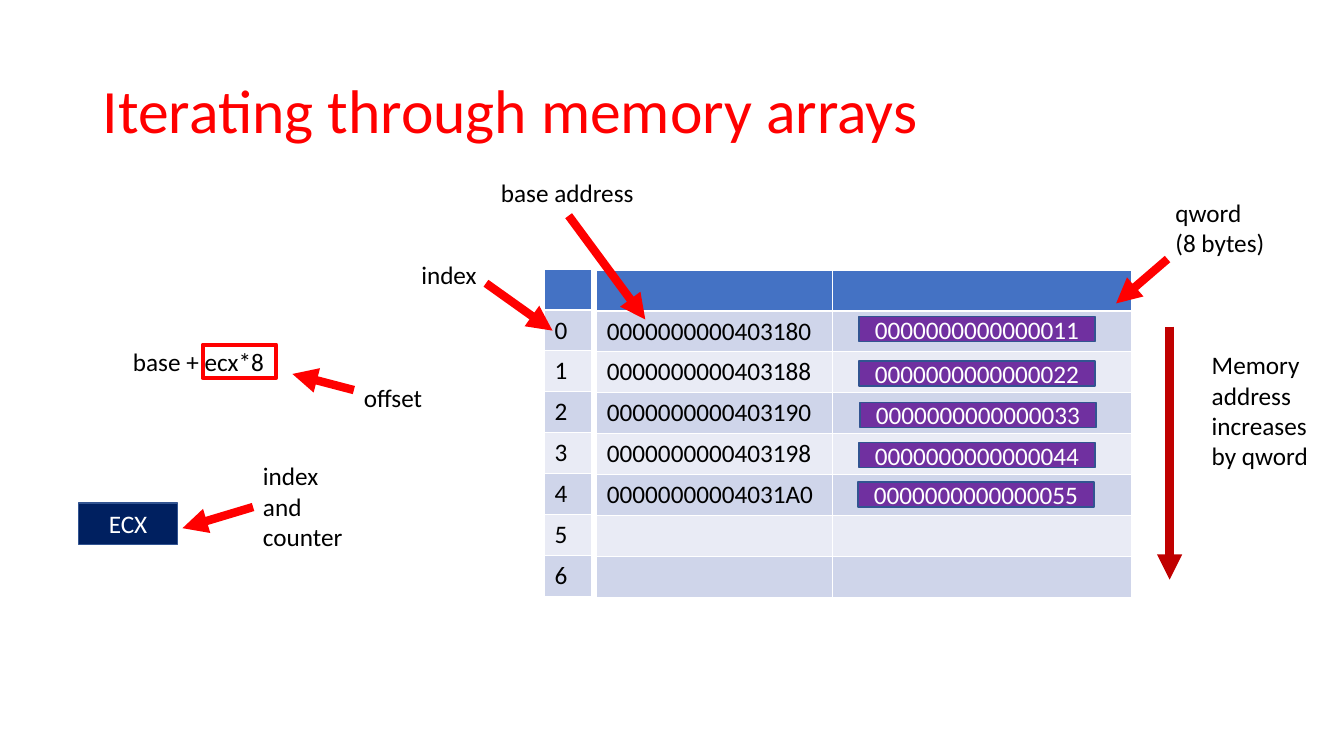
from lxml import etree
from pptx import Presentation
from pptx.dml.color import RGBColor
from pptx.enum.shapes import MSO_CONNECTOR, MSO_SHAPE
from pptx.enum.text import MSO_ANCHOR, MSO_AUTO_SIZE, PP_ALIGN
from pptx.oxml.ns import qn
from pptx.util import Emu, Pt

RECTANGLE = MSO_SHAPE.RECTANGLE
STRAIGHT = MSO_CONNECTOR.STRAIGHT
MIDDLE = MSO_ANCHOR.MIDDLE
LEFT, CENTER = PP_ALIGN.LEFT, PP_ALIGN.CENTER
GROW = MSO_AUTO_SIZE.SHAPE_TO_FIT_TEXT

EMU_PER_PX = 9144
TITLE_ONLY_LAYOUT = 5
RED, DARK_RED, BLACK, WHITE = "FF0000", "C00000", "000000", "FFFFFF"
PURPLE, NAVY, OUTLINE = "7030A0", "002060", "325491"
HEADER, BANDS = "4472C4", ("E9EBF5", "CFD5EA")

TABLE_ROWS = 8
BASE_ADDRESS = 0x403180
QWORD_BYTES = 8


def px(*lengths):
    return [Emu(length * EMU_PER_PX) for length in lengths]


def color(hex_string):
    return RGBColor.from_string(hex_string)


def set_values(target, values):
    for name, value in values.items():
        setattr(target, name, value)


class SlideBuilder:
    def __init__(self, slide, font="Calibri", size=18):
        self.slide = slide
        self.font = font
        self.size = size

    def fill_text(self, frame, lines, text_color=BLACK, size=None, **paragraph_format):
        """Put each line in its own paragraph, in the shared style."""
        frame.text = "\n".join(lines)
        for para in frame.paragraphs:
            set_values(para, paragraph_format)
            for span in para.runs:
                set_values(span.font, {"name": self.font, "size": Pt(size or self.size)})
                span.font.color.rgb = color(text_color)

    def title(self, area, text):
        title = self.slide.shapes.title
        set_values(title, dict(zip(("left", "top", "width", "height"), px(*area))))
        set_values(title.text_frame, {"vertical_anchor": MIDDLE, "word_wrap": True})
        self.fill_text(title.text_frame, [text], RED, 44, alignment=LEFT, line_spacing=0.9)

    def label(self, area, *lines, wrap=True):
        frame = self.slide.shapes.add_textbox(*px(*area)).text_frame
        set_values(frame, {"word_wrap": wrap, "auto_size": GROW})
        self.fill_text(frame, lines)

    def box(self, area, text="", fill=None, line=OUTLINE, weight=1):
        box = self.slide.shapes.add_shape(RECTANGLE, *px(*area))
        box.shadow.inherit = False
        if fill:
            box.fill.solid()
            box.fill.fore_color.rgb = color(fill)
        else:
            box.fill.background()
        box.line.color.rgb = color(line)
        box.line.width = Pt(weight)
        if text:
            box.text_frame.vertical_anchor = MIDDLE
            self.fill_text(box.text_frame, [text], WHITE, alignment=CENTER)

    def arrow(self, ends, line=RED):
        arrow = self.slide.shapes.add_connector(STRAIGHT, *px(*ends))
        arrow.line.color.rgb = color(line)
        arrow.line.width = Pt(6)
        properties = arrow.element.spPr
        etree.SubElement(properties.find(qn("a:ln")), qn("a:tailEnd"), type="triangle")
        etree.SubElement(properties, qn("a:effectLst"))

    def column(self, area, entries=()):
        """Add a one-column banded table; entries start below the header."""
        table = self.slide.shapes.add_table(TABLE_ROWS, 1, *px(*area)).table
        for row in range(TABLE_ROWS):
            cell = table.cell(row, 0)
            cell.fill.solid()
            cell.fill.fore_color.rgb = color(BANDS[row % 2] if row else HEADER)
        for row, entry in enumerate(entries, start=1):
            self.fill_text(table.cell(row, 0).text_frame, [entry])


def main():
    deck = Presentation()
    deck.slide_width, deck.slide_height = px(1333, 750)
    page = SlideBuilder(deck.slides.add_slide(deck.slide_layouts[TITLE_ONLY_LAYOUT]))
    page.title((92, 40, 1150, 145), "Iterating through memory arrays")

    addresses = [f"{BASE_ADDRESS + QWORD_BYTES * index:016X}" for index in range(5)]
    indexes = [str(index) for index in range(TABLE_ROWS - 1)]
    page.column((741, 268, 381, 324))
    page.column((592, 268, 234, 324), addresses)
    page.column((540, 267, 47, 324), indexes)

    value_corners = [(852, 314), (852, 358), (853, 399), (852, 439), (851, 478)]
    for number, corner in enumerate(value_corners, start=1):
        page.box((*corner, 234, 25), f"{11 * number:016}", PURPLE)

    page.box((78, 499, 98, 41), "ECX", NAVY)

    page.label((1192, 342, 136, 131), "Memory address", "increases", "by qword")
    page.label((1156, 191, 110, 71), "qword", "(8 bytes)", wrap=False)
    page.label((487, 171, 153, 40), "base address", wrap=False)
    page.label((351, 374, 144, 40), "offset")
    page.label((122, 339, 212, 40), "base + ecx*8")
    page.label((251, 452, 108, 101), "index and counter")
    page.label((408, 252, 102, 40), "index")

    page.box((201, 342, 73, 33), line=RED, weight=3)

    page.arrow((1160, 324, 1160, 575), DARK_RED)
    for ends in [
        (1158, 257, 1107, 301),
        (351, 387, 290, 371),
        (251, 503, 181, 524),
        (564, 214, 640, 317),
        (482, 281, 548, 328),
    ]:
        page.arrow(ends)

    deck.save("out.pptx")


if __name__ == "__main__":
    main()
